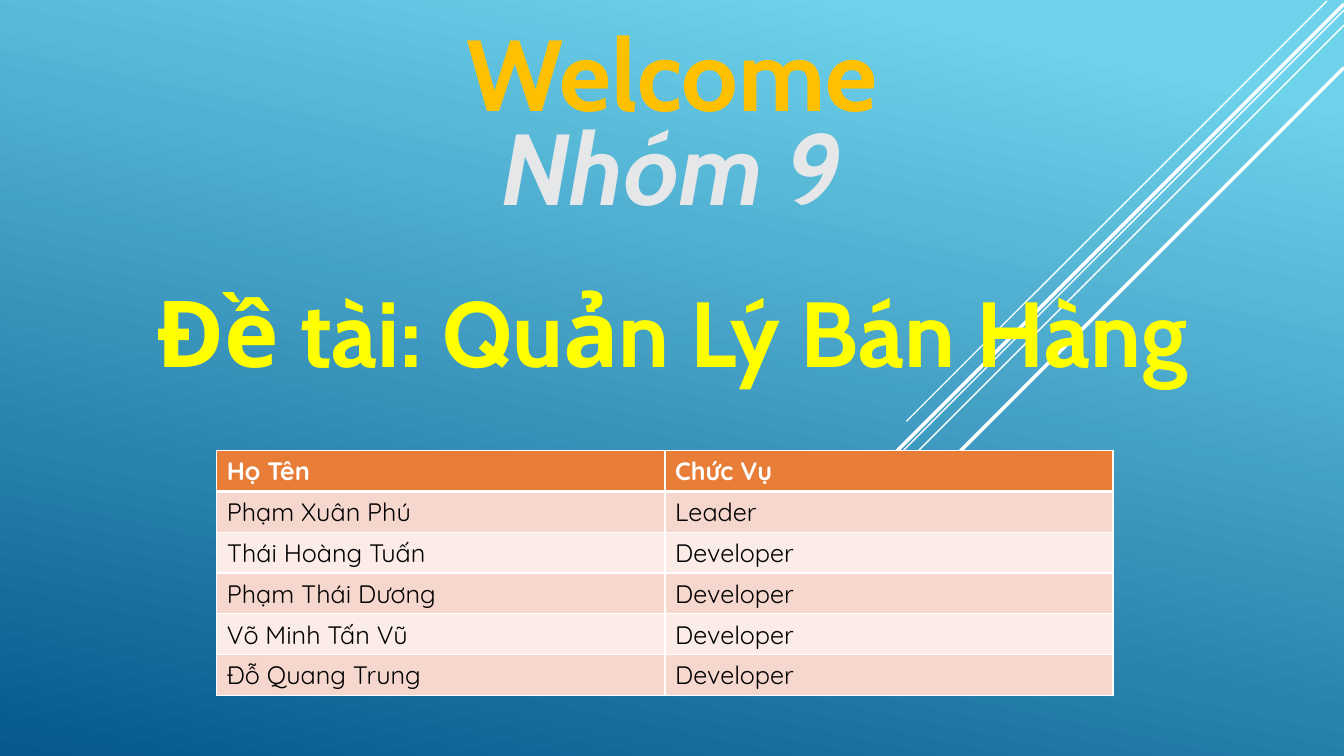
from typing import NamedTuple

from pptx import Presentation
from pptx import util as u
from pptx.dml.color import RGBColor
from pptx.enum import shapes, text
from pptx.oxml import ns, xmlchemy

WHITE = RGBColor(0xFF, 0xFF, 0xFF)
BLACK = RGBColor(0x00, 0x00, 0x00)
SKY = RGBColor(0x6E, 0xD2, 0xEB)
DEEP_BLUE = RGBColor(0x06, 0x58, 0x8E)
GOLD = RGBColor(0xFF, 0xC0, 0x00)
SILVER = RGBColor(0xE6, 0xE7, 0xE9)
YELLOW = RGBColor(0xFF, 0xFF, 0x00)
ORANGE = RGBColor(0xE8, 0x7D, 0x37)
BAND_COLORS = (RGBColor(0xF6, 0xD7, 0xCE), RGBColor(0xFB, 0xEC, 0xE8))

SLIDE_WIDTH, SLIDE_HEIGHT = 13.33, 7.5
HEADING_FONT, TABLE_FONT = "Cabin", "Quicksand"


class Ray(NamedTuple):
    """A 45-degree line falling to the left from its upper end."""
    x: float
    y: float
    reach: float
    weight: float


class Heading(NamedTuple):
    """A centred heading across the slide."""
    words: str
    top: float
    height: float
    size: float
    color: RGBColor
    italic: bool = False
    line_spacing: float = 1.0


RAYS = (
    Ray(13.16, 0.01, 4.17, 1),
    Ray(SLIDE_WIDTH, 0.1, 6.65, 1),
    Ray(SLIDE_WIDTH, 0.25, 5.42, 1),
    Ray(SLIDE_WIDTH, 0.04, 5.3, 2.5),
    Ray(SLIDE_WIDTH, 0.67, 4.75, 2.5),
)
HEADINGS = (
    Heading("Nhóm 9", 1.13, 1.79, 72, SILVER, italic=True, line_spacing=0.9),
    Heading("Đề tài: Quản Lý Bán Hàng", 2.81, 0.94, 66, YELLOW, line_spacing=0.9),
    Heading("Welcome", 0.06, 1.31, 72, GOLD),
)
MEMBERS = (
    ("Họ Tên", "Chức Vụ"),
    ("Phạm Xuân Phú", "Leader"),
    ("Thái Hoàng Tuấn", "Developer"),
    ("Phạm Thái Dương", "Developer"),
    ("Võ Minh Tấn Vũ", "Developer"),
    ("Đỗ Quang Trung", "Developer"),
)


def write_text(frame, words: str, *, font: str, size: float, color: RGBColor,
               bold: bool = False, italic: bool = False,
               align=text.PP_ALIGN.LEFT, line_spacing: float = 1.0) -> None:
    """Put one formatted paragraph into a text frame."""
    paragraph = frame.paragraphs[0]
    paragraph.alignment = align
    paragraph.line_spacing = line_spacing
    run = paragraph.add_run()
    run.text = words
    run.font.name = font
    run.font.size = u.Pt(size)
    run.font.bold = bold
    run.font.italic = italic
    run.font.color.rgb = color


def paint_background(slide) -> None:
    """Fill the slide with the blue gradient."""
    fill = slide.background.fill
    fill.gradient()
    fill.gradient_angle = 360 - 102
    for stop, position, color in zip(fill.gradient_stops, (0.1, 1), (SKY, DEEP_BLUE)):
        stop.position = position
        stop.color.rgb = color


def draw_ray(slide, ray: Ray) -> None:
    """Draw one white diagonal without a shadow."""
    line = slide.shapes.add_connector(
        shapes.MSO_CONNECTOR.STRAIGHT, u.Inches(ray.x), u.Inches(ray.y),
        u.Inches(ray.x - ray.reach), u.Inches(ray.y + ray.reach))
    line.line.color.rgb = WHITE
    line.line.width = u.Pt(ray.weight)
    line._element.spPr.append(xmlchemy.OxmlElement("a:effectLst"))


def draw_heading(slide, heading: Heading) -> None:
    """Draw one heading as a full-width text box."""
    box = slide.shapes.add_textbox(0, u.Inches(heading.top), u.Inches(SLIDE_WIDTH),
                                   u.Inches(heading.height))
    box.text_frame.word_wrap = True
    write_text(box.text_frame, heading.words, font=HEADING_FONT, size=heading.size,
               color=heading.color, bold=True, italic=heading.italic,
               align=text.PP_ALIGN.CENTER, line_spacing=heading.line_spacing)


def add_borders(cell, weights: dict[str, float]) -> None:
    """Give a cell white borders, placed before its fill as the schema asks."""
    properties = cell._tc.get_or_add_tcPr()
    for index, (side, weight) in enumerate(weights.items()):
        border = xmlchemy.OxmlElement(f"a:ln{side}")
        border.set("w", str(u.Pt(weight)))
        solid = xmlchemy.OxmlElement("a:solidFill")
        color = xmlchemy.OxmlElement("a:srgbClr")
        color.set("val", str(WHITE))
        solid.append(color)
        border.append(solid)
        properties.insert(index, border)


def draw_member_table(slide) -> None:
    """Draw the team table with its header and banded rows."""
    frame = slide.shapes.add_table(len(MEMBERS), len(MEMBERS[0]), u.Inches(2.15),
                                   u.Inches(4.47), u.Inches(8.89), u.Inches(2.43))
    for row, member in enumerate(MEMBERS):
        header = row == 0
        for column, words in enumerate(member):
            cell = frame.table.cell(row, column)
            cell.fill.solid()
            cell.fill.fore_color.rgb = ORANGE if header else BAND_COLORS[(row - 1) % 2]
            write_text(cell.text_frame, words, font=TABLE_FONT, size=18, bold=header,
                       color=WHITE if header else BLACK)
            add_borders(cell, {"L": 1, "R": 1, "T": 3 if row == 1 else 1,
                               "B": 3 if header else 1})


def main() -> None:
    """Build and save the welcome slide."""
    presentation = Presentation()
    presentation.slide_width = u.Inches(SLIDE_WIDTH)
    presentation.slide_height = u.Inches(SLIDE_HEIGHT)
    slide = presentation.slides.add_slide(presentation.slide_layouts[6])
    paint_background(slide)
    for ray in RAYS:
        draw_ray(slide, ray)
    for heading in HEADINGS:
        draw_heading(slide, heading)
    draw_member_table(slide)
    presentation.save("out.pptx")


main()
